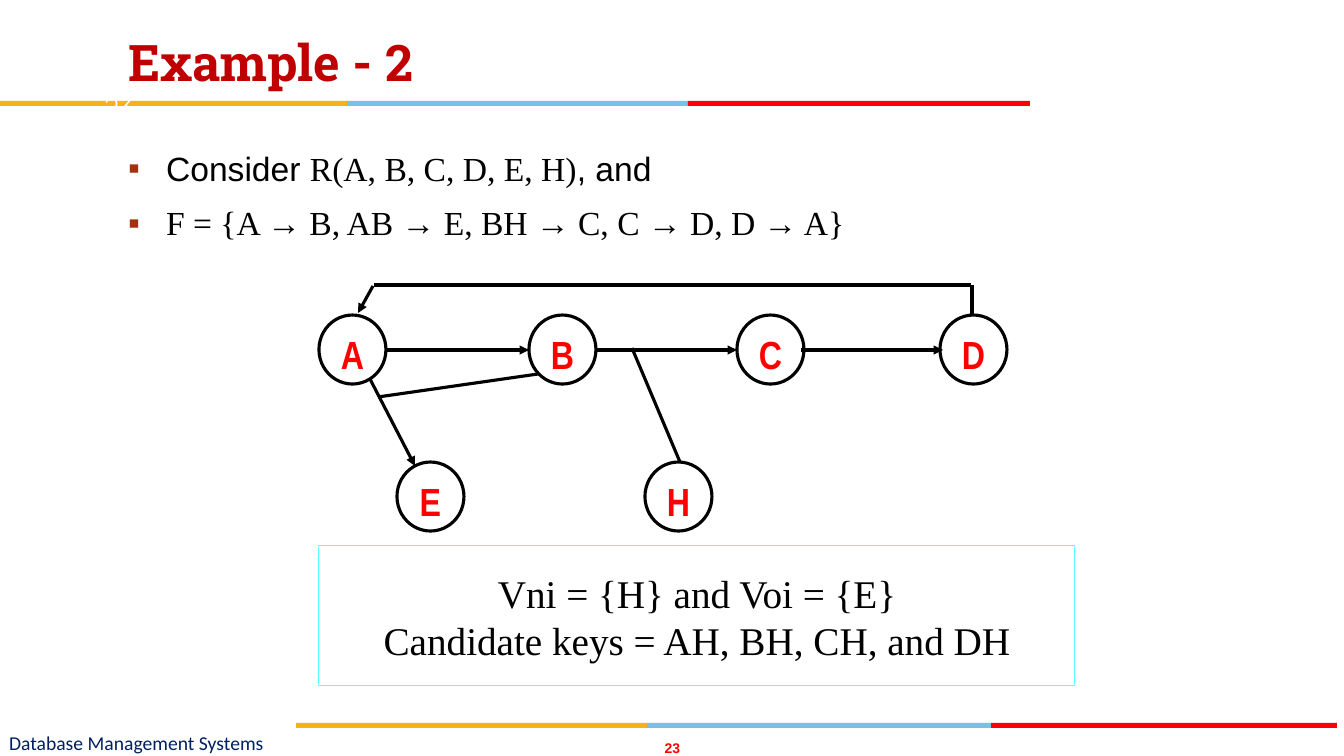
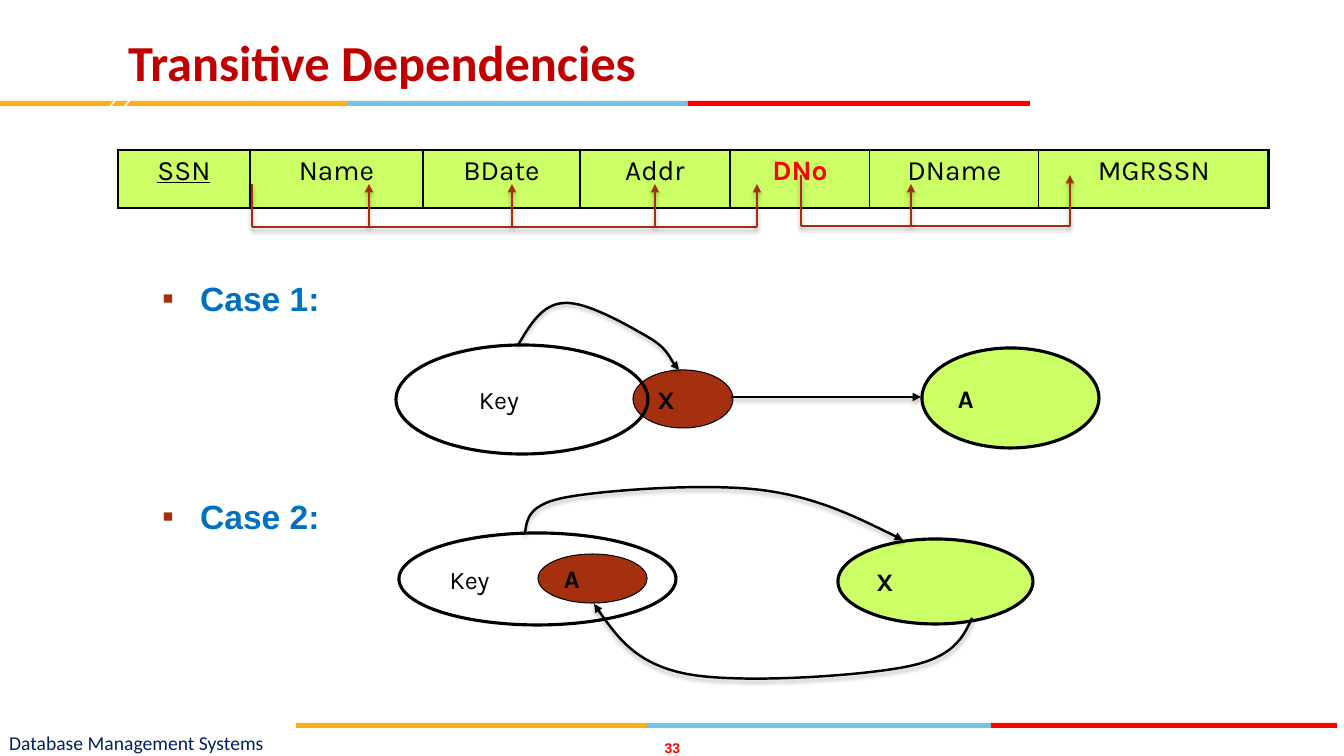
from lxml import etree
from pptx import Presentation
from pptx import util as u
from pptx.dml.color import RGBColor
from pptx.enum import shapes, text
from pptx.oxml import ns

SCALE = 914400 / 100.8
BLACK, WHITE, RED, RUST, LIME = "000000", "FFFFFF", "FF0000", "A53010", "CCFF66"
GOLD, SKY, NAVY, CRIMSON, BLUE, CYAN = "FCB017", "76C2E5", "002060", "C00000", "0070C0", "66FFFF"
LEFT, CENTER, RIGHT = text.PP_ALIGN.LEFT, text.PP_ALIGN.CENTER, text.PP_ALIGN.RIGHT
TOP, MIDDLE = text.MSO_ANCHOR.TOP, text.MSO_ANCHOR.MIDDLE
RECT, OVAL = shapes.MSO_SHAPE.RECTANGLE, shapes.MSO_SHAPE.OVAL


def px(n):
    return u.Emu(round(n * SCALE))


def rgb(color):
    return RGBColor.from_string(color)


def add_xml(parent, tag, **attrs):
    return etree.SubElement(parent, ns.qn(tag), attrs)


def place(sp, x, y, w, h):
    sp.left, sp.top, sp.width, sp.height = px(x), px(y), px(w), px(h)


def style(p, size, font, color, bold=False, align=LEFT):
    p.alignment = align
    for r in p.runs:
        r.font.size = u.Pt(size)
        r.font.bold = bold
        r.font.color.rgb = rgb(color)
        if font:
            r.font.name = font


def write(sp, words, size, font, color, bold=False, align=LEFT, anchor=MIDDLE, margins=None):
    tf = sp.text_frame
    tf.word_wrap = True
    tf.auto_size = text.MSO_AUTO_SIZE.NONE
    tf.vertical_anchor = anchor
    if margins:
        tf.margin_left, tf.margin_top, tf.margin_right, tf.margin_bottom = map(px, margins)
    tf.text = words
    for p in tf.paragraphs:
        style(p, size, font, color, bold, align)


def label(slide, box, words, *look, **options):
    sp = slide.shapes.add_textbox(*map(px, box))
    write(sp, words, *look, **options)
    return sp


def shape(slide, kind, x, y, w, h, fill=None, line=None, weight=2.25):
    sp = slide.shapes.add_shape(kind, px(x), px(y), px(w), px(h))
    sp.shadow.inherit = False
    if fill:
        sp.fill.solid()
        sp.fill.fore_color.rgb = rgb(fill)
    else:
        sp.fill.background()
    if line:
        sp.line.color.rgb = rgb(line)
        sp.line.width = u.Pt(weight)
    else:
        sp.line.fill.background()
    return sp


def stroke(sp, color, weight, arrow, shadow):
    sp.line.color.rgb = rgb(color)
    sp.line.width = u.Pt(weight)
    props = sp.element.spPr
    if arrow:
        add_xml(props.find(ns.qn("a:ln")), "a:tailEnd", type="triangle")
    effects = add_xml(props, "a:effectLst")
    if shadow:
        outer = add_xml(effects, "a:outerShdw", blurRad="38100", dist="25400", dir="5400000", rotWithShape="0")
        add_xml(add_xml(outer, "a:srgbClr", val=BLACK), "a:alpha", val="25000")


def line(slide, start, end, color=BLACK, weight=2.25, arrow=False, shadow=False):
    cxn = slide.shapes.add_connector(shapes.MSO_CONNECTOR.STRAIGHT, *map(px, (*start, *end)))
    stroke(cxn, color, weight, arrow, shadow)


def curve(slide, x, y, points):
    points = [(x + dx, y + dy) for dx, dy in points]
    builder = slide.shapes.build_freeform(*points[0], scale=SCALE)
    builder.add_line_segments(points[1:], close=False)
    sp = builder.convert_to_shape()
    segments = list(sp.element.iter(ns.qn("a:lnTo")))
    for i in range(0, len(segments), 3):
        bezier = etree.Element(ns.qn("a:cubicBezTo"))
        segments[i].addprevious(bezier)
        for segment in segments[i:i + 3]:
            bezier.append(segment[0])
            segment.getparent().remove(segment)
    sp.fill.background()
    stroke(sp, BLACK, 1.75, True, True)


def furnish_layout(layout, slide):
    parts = []
    for x, y, widths in ((0, 101, (347, 341, 342)), (296, 723, (351, 344, 346))):
        for width, color in zip(widths, (GOLD, SKY, RED)):
            parts.append(shape(slide, RECT, x, y, width, 5, color))
            x += width
    parts.append(label(slide, (9, 729, 500, 27), "Database Management Systems", 14, "Calibri", NAVY,
                       margins=(0, 0, 0, 0)))
    for sp in parts:
        layout.element.cSld.spTree.append(sp.element)


def fill_slide(slide, number, title, font):
    place(slide.shapes.title, 118, 26, 966, 85)
    write(slide.shapes.title, title, 36, font, CRIMSON, True, anchor=TOP)
    label(slide, (656, 739, 33, 17), number, 10, "Arial", RED, True, CENTER, margins=(0, 0, 0, 0))
    label(slide, (58, 87, 86, 40), number, 20, "Quicksand", "FEFFFF", align=RIGHT)


def bullets(slide, box, items, color, bold, gap):
    body = slide.placeholders[1]
    place(body, *box)
    tf = body.text_frame
    tf.auto_size = text.MSO_AUTO_SIZE.NONE
    for i, item in enumerate(items):
        p = tf.add_paragraph() if i else tf.paragraphs[0]
        for words, font in item:
            r = p.add_run()
            r.text = words
            r.font.name = font
        style(p, 24, None, color, bold)
        p.space_before = u.Pt(gap if i else 10)
        props = p._p.get_or_add_pPr()
        props.set("marL", str(px(38)))
        props.set("indent", str(-px(38)))
        add_xml(add_xml(props, "a:buClr"), "a:srgbClr", val=RUST)
        add_xml(props, "a:buFont", typeface="Arial")
        add_xml(props, "a:buChar", char="▪")


def dependency_graph(slide, x, y):
    nodes = {"A": (0, 30), "B": (210, 30), "C": (418, 30), "D": (621, 30), "E": (78, 177), "H": (326, 177)}
    for name, (dx, dy) in nodes.items():
        sp = shape(slide, OVAL, x + dx, y + dy, 67, 69, WHITE, BLACK)
        write(sp, name, 28, "Arial Narrow", RED, True, CENTER, TOP)
    edges = [
        ((68, 65), (210, 65), True), ((276, 65), (418, 65), True), ((482, 65), (624, 65), True),
        ((51, 94), (96, 181), True), ((219, 89), (59, 112), False), ((361, 177), (313, 63), False),
        ((652, 0), (55, 0), False), ((653, 0), (653, 30), False), ((54, 1), (39, 28), True),
    ]
    for (x1, y1), (x2, y2), arrow in edges:
        line(slide, (x + x1, y + y1), (x + x2, y + y2), arrow=arrow)


def answer_box(slide, x, y, w, h):
    sp = shape(slide, RECT, x, y, w, h, line=CYAN, weight=0.75)
    write(sp, "Vni = {H} and Voi = {E}\nCandidate keys = AH, BH, CH, and DH",
          28, "Times New Roman", BLACK, align=CENTER)


def cell_borders(cell, first, last):
    props = cell._tc.get_or_add_tcPr()
    weights = {"a:lnL": 2.25 if first else 1, "a:lnR": 2.25 if last else 1, "a:lnT": 2.25, "a:lnB": 2.25}
    for i, (tag, weight) in enumerate(weights.items()):
        ln = etree.Element(ns.qn(tag), w=str(u.Pt(weight)))
        add_xml(add_xml(ln, "a:solidFill"), "a:srgbClr", val=BLACK)
        props.insert(i, ln)


def schema_table(slide, x, y, h):
    columns = {"SSN": 132, "Name": 173, "BDate": 157, "Addr": 150, "DNo": 140, "DName": 169, "MGRSSN": 230}
    frame = slide.shapes.add_table(1, len(columns), px(x), px(y), px(sum(columns.values())), px(h))
    table = frame.table
    table.first_row = table.horz_banding = False
    for i, (name, width) in enumerate(columns.items()):
        table.columns[i].width = px(width)
        cell = table.cell(0, i)
        cell.margin_left = cell.margin_right = px(12)
        cell.margin_top = cell.margin_bottom = px(5)
        cell.fill.solid()
        cell.fill.fore_color.rgb = rgb(LIME)
        cell.text = name
        p = cell.text_frame.paragraphs[0]
        key = name == "DNo"
        style(p, 20, "Karla", RED if key else BLACK, key, CENTER)
        p.runs[0].font.underline = name == "SSN"
        cell_borders(cell, i == 0, i == len(columns) - 1)


def fork(slide, x, y, top, tips):
    look = {"color": RUST, "weight": 1.75, "shadow": True}
    line(slide, (x, y), (tips[-1][0], y), **look)
    line(slide, (x, y), (x, top), **look)
    for tip_x, tip_y in tips:
        line(slide, (tip_x, y), (tip_x, tip_y), arrow=True, **look)


def oval(slide, x, y, box, name, fill=None, weight=2.25, indent=10):
    dx, dy, w, h = box
    sp = shape(slide, OVAL, x + dx, y + dy, w, h, fill, BLACK, weight)
    write(sp, name, 18, "Karla", BLACK, name != "Key", margins=(indent, 5, 10, 5))


def case_one(slide, x, y):
    oval(slide, x, y, (237, 69, 100, 58), "X", RUST, 0.75)
    line(slide, (x + 335, y + 96), (x + 525, y + 96), weight=1.75, arrow=True, shadow=True)
    oval(slide, x, y, (526, 47, 177, 100), "A", LIME)
    oval(slide, x, y, (0, 44, 252, 109), "Key", indent=46)
    curve(slide, x, y, [(122, 44), (134, 24), (146, 3), (168, 2), (190, 0), (233, 25), (252, 36),
                        (271, 47), (277, 64), (283, 69)])


def case_two(slide, x, y):
    oval(slide, x, y, (0, 50, 277, 92), "Key")
    oval(slide, x, y, (139, 71, 109, 49), "A", RUST, 0.75)
    oval(slide, x, y, (439, 56, 195, 85), "X", LIME)
    curve(slide, x, y, [(126, 50), (128, 36), (129, 21), (169, 14), (209, 7), (306, 0), (362, 7),
                        (418, 14), (461, 36), (504, 57)])
    curve(slide, x, y, [(573, 135), (564, 155), (554, 175), (506, 184), (460, 193), (341, 201), (288, 191),
                        (237, 181), (216, 151), (195, 121)])


def example_slide(slide):
    fill_slide(slide, "23", "Example - 2", "Roboto Slab")
    serif = "Times New Roman"
    bullets(slide, (118, 143, 1017, 509), [
        [("Consider ", "Arial"), ("R(A, B, C, D, E, H)", serif), (", and", "Arial")],
        [("F = {A → B, AB → E, BH → C, C → D, D → A}", serif)],
    ], BLACK, False, 10)
    dependency_graph(slide, 319, 285)
    answer_box(slide, 319, 546, 756, 140)


def transitive_slide(slide):
    fill_slide(slide, "33", "Transitive Dependencies", "Calibri")
    schema_table(slide, 118, 150, 58)
    bullets(slide, (152, 273, 446, 387), [[("Case 1:", "Arial")], [("Case 2:", "Arial")]], BLUE, True, 127)
    case_one(slide, 396, 301)
    case_two(slide, 399, 483)
    fork(slide, 252, 227, 184, [(369, 184), (512, 184), (655, 184), (757, 184)])
    fork(slide, 801, 226, 175, [(911, 184), (1070, 175)])


def main():
    prs = Presentation()
    prs.slide_width, prs.slide_height = px(1344), px(756)
    layout = prs.slide_layouts[1]
    for ph in list(layout.placeholders):
        if ph.placeholder_format.idx >= 10:
            ph.element.getparent().remove(ph.element)
    example, transitive = (prs.slides.add_slide(layout) for _ in range(2))
    furnish_layout(layout, example)
    example_slide(example)
    transitive_slide(transitive)
    prs.save("out.pptx")


if __name__ == "__main__":
    main()
